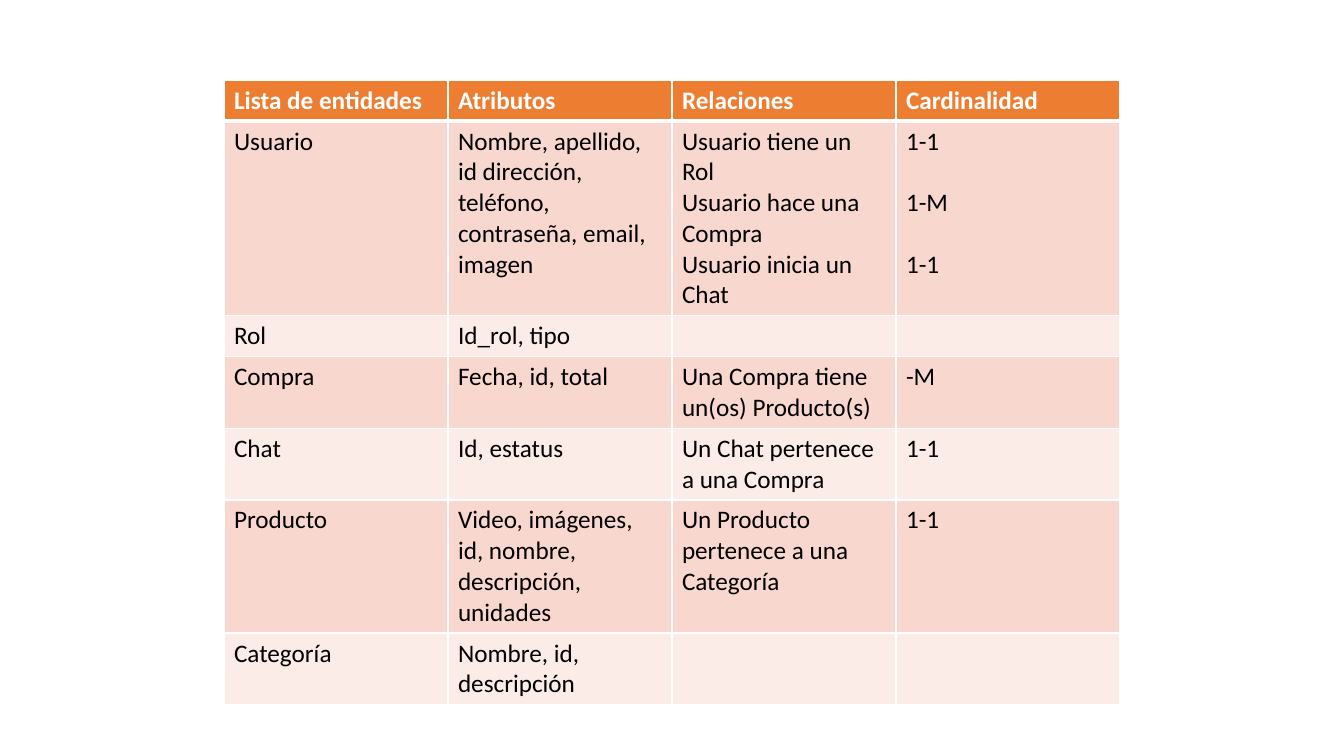
from dataclasses import dataclass

from lxml.etree import SubElement as Sub
from pptx import Presentation
from pptx.dml.color import RGBColor as Rgb
from pptx.oxml.ns import qn
from pptx.util import Emu, Pt

SCALE = 914400 / 100.8
FONT, SIZE, LINE = "Calibri", 18, 22
LEFT, TOP, WIDE, HIGH = 224, 80, 224, 41
HUES = {"head": "ED7D31", "dark": "F8D7CE", "light": "FCECE8",
        "white": "FFFFFF", "black": "000000"}


@dataclass(frozen=True)
class Entity:
    """One table row; gap is the space in points between its cardinalities."""
    name: str
    traits: str
    links: tuple[str, ...] = ()
    counts: tuple[str, ...] = ()
    gap: int = 0


HEAD = Entity("Lista de entidades", "Atributos", ("Relaciones",), ("Cardinalidad",))
ROWS = [
    HEAD,
    Entity("Usuario", "Nombre, apellido, id dirección, teléfono, contraseña, email, imagen",
           ("Usuario tiene un Rol", "Usuario hace una Compra", "Usuario inicia un Chat"),
           ("1-1", "1-M", "1-1"), LINE),
    Entity("Rol", "Id_rol, tipo"),
    Entity("Compra", "Fecha, id, total", ("Una Compra tiene un(os) Producto(s)",), ("-M",)),
    Entity("Chat", "Id, estatus", ("Un Chat pertenece a una Compra",), ("1-1",)),
    Entity("Producto", "Video, imágenes, id, nombre, descripción, unidades",
           ("Un Producto pertenece a una Categoría",), ("1-1",)),
    Entity("Categoría", "Nombre, id, descripción"),
]


def px(num: int) -> Emu:
    """Turn pixels into EMU."""
    return Emu(round(num * SCALE))


def edge(cell, side: str, width: int) -> None:
    """Draw one white cell border."""
    line = Sub(cell._tc.get_or_add_tcPr(), qn(f"a:ln{side}"), w=str(Pt(width)))
    Sub(Sub(line, qn("a:solidFill")), qn("a:srgbClr"), val=HUES["white"])


def write(cell, texts: tuple[str, ...], hue: str, bold: bool, gap: int) -> None:
    """Write one paragraph per text."""
    frame = cell.text_frame
    for num, text in enumerate(texts):
        para = frame.add_paragraph() if num else frame.paragraphs[0]
        if num and gap:
            para.space_before = Pt(gap)
        run = para.add_run()
        run.text = text
        font = run.font
        font.name, font.size, font.bold = FONT, Pt(SIZE), bold
        font.color.rgb = Rgb.from_string(HUES[hue])


def fill(table, num: int, row: Entity) -> None:
    """Style and write one table row."""
    head = row is HEAD
    back = "head" if head else "dark" if num % 2 else "light"
    table.rows[num].height = px(HIGH)
    parts = ((row.name,), (row.traits,), row.links, row.counts)
    for col, texts in enumerate(parts):
        cell = table.cell(num, col)
        widths = {"L": 1, "R": 1, "T": 3 if num == 1 else 1, "B": 3 if head else 1}
        for side, width in widths.items():
            edge(cell, side, width)
        cell.fill.solid()
        cell.fill.fore_color.rgb = Rgb.from_string(HUES[back])
        write(cell, texts, "white" if head else "black", head,
              row.gap if texts is row.counts else 0)


def main() -> None:
    """Build and save the slide."""
    deck = Presentation()
    deck.slide_width, deck.slide_height = px(1344), px(756)
    slide = deck.slides.add_slide(deck.slide_layouts[6])
    frame = slide.shapes.add_table(len(ROWS), 4, px(LEFT), px(TOP),
                                   px(4 * WIDE), px(len(ROWS) * HIGH))
    table = frame.table
    for col in table.columns:
        col.width = px(WIDE)
    for num, row in enumerate(ROWS):
        fill(table, num, row)
    deck.save("out.pptx")


main()
